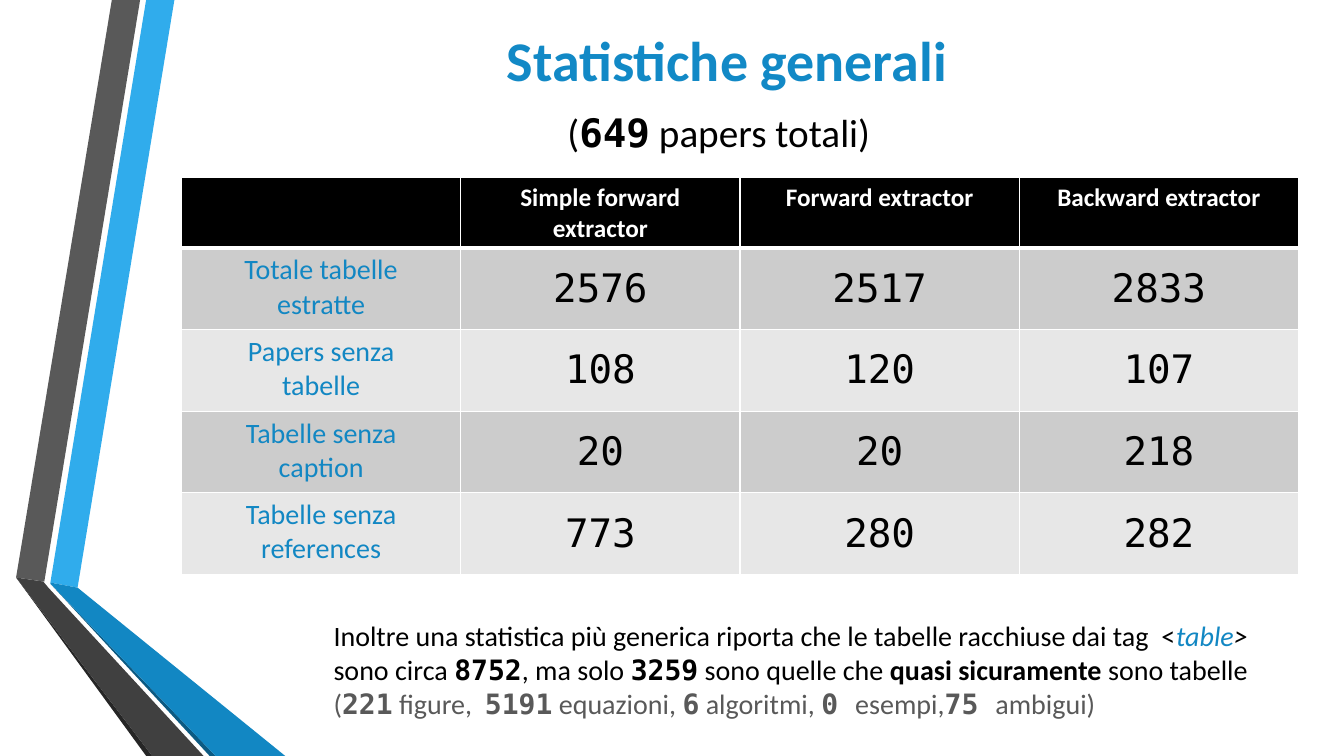
import pptx
import pptx.util
import pptx.dml.color
import pptx.enum.text
import pptx.oxml
import pptx.oxml.ns

Inches, Pt = pptx.util.Inches, pptx.util.Pt
RGB = pptx.dml.color.RGBColor
ALIGN = pptx.enum.text.PP_ALIGN
ANCHOR = pptx.enum.text.MSO_ANCHOR

BLACK = RGB(0x00, 0x00, 0x00)
WHITE = RGB(0xFF, 0xFF, 0xFF)
TITLE = RGB(0x12, 0x89, 0xC6)
BLUE = RGB(0x12, 0x87, 0xC3)
SKY = RGB(0x30, 0xAC, 0xEC)
NAVY = RGB(0x0C, 0x5A, 0x82)
GRAY = RGB(0x59, 0x59, 0x59)
DARK = RGB(0x40, 0x40, 0x40)
COAL = RGB(0x26, 0x26, 0x26)
BAND = RGB(0xCC, 0xCC, 0xCC)
PALE = RGB(0xE7, 0xE7, 0xE7)
SANS, MONO = "Calibri", "DejaVu Sans Mono"


def write(para, text, size=20, font=SANS, color=BLACK, bold=False, italic=False):
    run = para.add_run()
    run.text = text
    face = run.font
    face.size, face.name = Pt(size), font
    face.bold, face.italic = bold, italic
    face.color.rgb = color


def border(cell, side, width):
    line = pptx.oxml.parse_xml(
        f'<a:ln{side} {pptx.oxml.ns.nsdecls("a")} w="{Pt(width)}">'
        f'<a:solidFill><a:srgbClr val="{WHITE}"/></a:solidFill></a:ln{side}>')
    cell._tc.get_or_add_tcPr().append(line)


class Deck:
    def __init__(self):
        self.file = pptx.Presentation()
        self.file.slide_width = Inches(13.33)
        self.file.slide_height = Inches(7.5)
        self.slide = self.file.slides.add_slide(self.file.slide_layouts[6])

    def ribbon(self, color, *points):
        spots = [(Inches(x), Inches(y)) for x, y in points]
        form = self.slide.shapes.build_freeform(*spots[0])
        form.add_line_segments(spots[1:], close=True)
        shape = form.convert_to_shape()
        shape.shadow.inherit = False
        shape.fill.solid()
        shape.fill.fore_color.rgb = color
        shape.line.fill.background()

    def text(self, box, runs, align=ALIGN.LEFT, anchor=ANCHOR.TOP):
        frame = self.slide.shapes.add_textbox(*map(Inches, box)).text_frame
        frame.word_wrap = True
        frame.vertical_anchor = anchor
        para = frame.paragraphs[0]
        para.alignment = align
        for words, style in runs:
            write(para, words, **style)

    def cell(self, cell, text, fill, top, base, anchor=ANCHOR.TOP, **style):
        for side, width in (("L", 1), ("R", 1), ("T", top), ("B", base)):
            border(cell, side, width)
        cell.fill.solid()
        cell.fill.fore_color.rgb = fill
        cell.vertical_anchor = anchor
        frame = cell.text_frame
        for i, words in enumerate(text.split("\n") if text else []):
            para = frame.add_paragraph() if i else frame.paragraphs[0]
            para.alignment = ALIGN.CENTER
            write(para, words, **style)

    def table(self, box, rows, heights):
        frame = self.slide.shapes.add_table(
            len(rows), len(rows[0]), *map(Inches, box))
        grid = frame.table
        for r, row in enumerate(rows):
            grid.rows[r].height = Inches(heights[r])
            for c, text in enumerate(row):
                if r == 0:
                    look = dict(size=18, color=WHITE, bold=True)
                elif c == 0:
                    look = dict(color=BLUE)
                else:
                    look = dict(size=28, font=MONO, anchor=ANCHOR.MIDDLE)
                fill = BLACK if r == 0 else BAND if r % 2 else PALE
                self.cell(grid.cell(r, c), text, fill,
                          top=3 if r == 1 else 1, base=1 if r else 3, **look)


def main():
    deck = Deck()

    # Ribbons at the left
    deck.ribbon(SKY, (0.5, 5.78), (0.77, 5.83), (1.73, 0), (1.45, 0))
    deck.ribbon(GRAY, (1.39, 0), (1.11, 0), (0.16, 5.73), (0.44, 5.77))
    deck.ribbon(COAL, (0.16, 5.73), (1.45, 7.5), (1.51, 7.5))
    deck.ribbon(NAVY, (0.5, 5.79), (2.08, 7.5), (2.14, 7.5))
    deck.ribbon(BLUE, (0.5, 5.79), (2.14, 7.5), (2.83, 7.5), (0.77, 5.83),
                (0.5, 5.78))
    deck.ribbon(DARK, (2.02, 7.5), (0.48, 5.83), (0.43, 5.77), (0.16, 5.73),
                (1.51, 7.5))

    # Title
    deck.text((1.73, -0.14, 10.96, 1.46),
              [("Statistiche generali", dict(size=40, color=TITLE, bold=True))],
              ALIGN.CENTER, ANCHOR.MIDDLE)

    # Table of results
    deck.table((1.8, 1.76, 11.08, 3.9), [
        ("", "Simple forward\nextractor", "Forward extractor",
         "Backward extractor"),
        ("Totale tabelle\nestratte", "2576", "2517", "2833"),
        ("Papers senza\ntabelle", "108", "120", "107"),
        ("Tabelle senza\ncaption", "20", "20", "218"),
        ("Tabelle senza\nreferences", "773", "280", "282"),
    ], [0.7] + [0.81] * 4)

    # Closing note
    plain, strong = {}, dict(font=MONO, bold=True)
    soft, count = dict(color=GRAY), dict(font=MONO, bold=True, color=GRAY)
    deck.text((3.21, 6.09, 9.47, 1.41), [
        ("Inoltre una statistica più generica riporta che le tabelle "
         "racchiuse dai tag  <", plain),
        ("table", dict(color=BLUE, italic=True)),
        ("> ", dict(italic=True)),
        ("sono circa ", plain), ("8752", strong),
        (", ma solo ", plain), ("3259", strong),
        (" sono quelle che ", plain),
        ("quasi sicuramente", dict(bold=True)),
        (" sono tabelle ", plain),
        ("(", soft), ("221", count), (" figure,  ", soft),
        ("5191", count), (" equazioni, ", soft),
        ("6", count), (" algoritmi, ", soft),
        ("0 ", count), ("esempi,", soft),
        ("75 ", count), ("ambigui)", soft),
    ])

    # Total of papers
    deck.text((5.53, 1.03, 3.61, 0.57), [
        ("(", dict(size=28)),
        ("649", dict(size=28, **strong)),
        (" papers totali)", dict(size=28)),
    ])

    deck.file.save("out.pptx")


if __name__ == "__main__":
    main()
